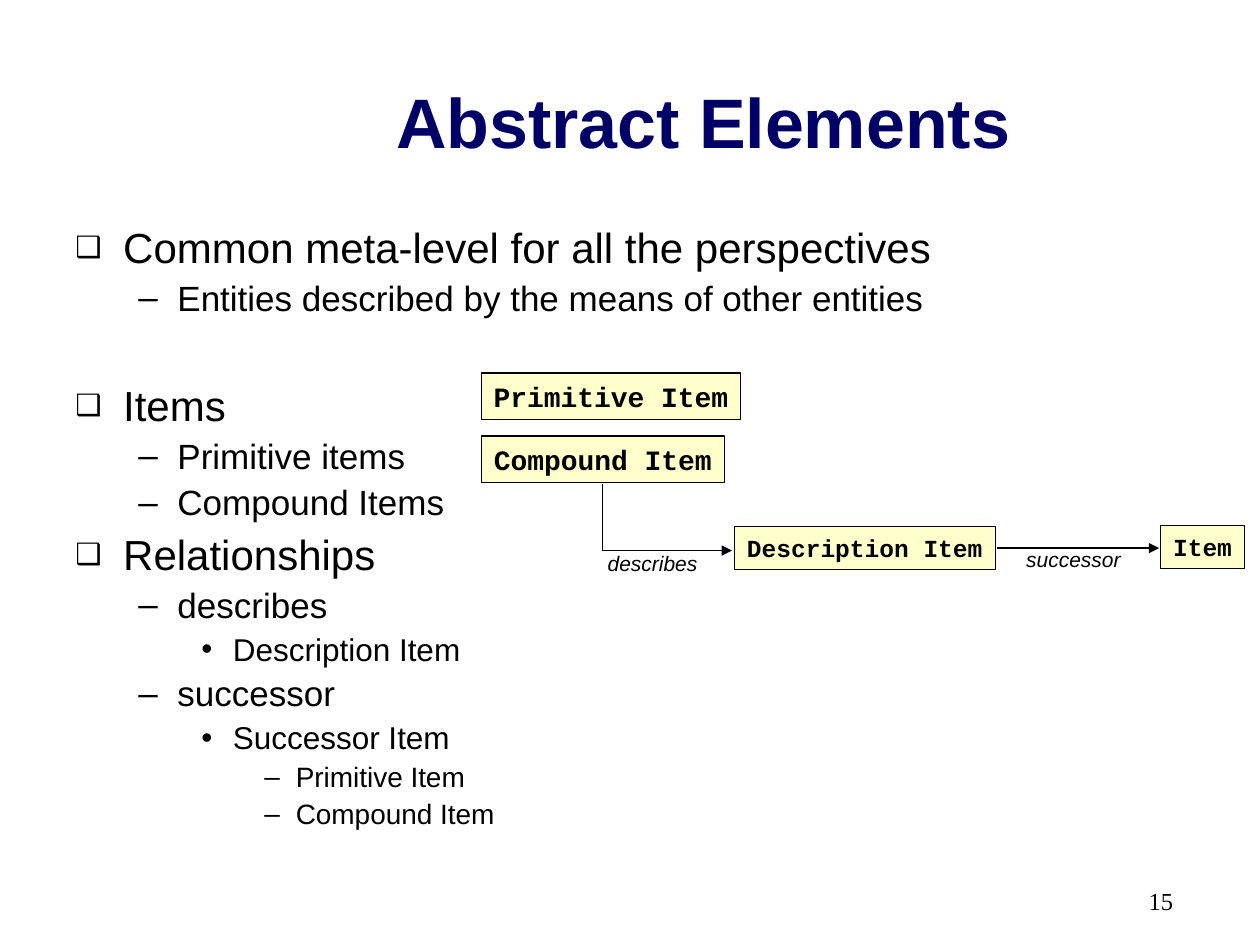
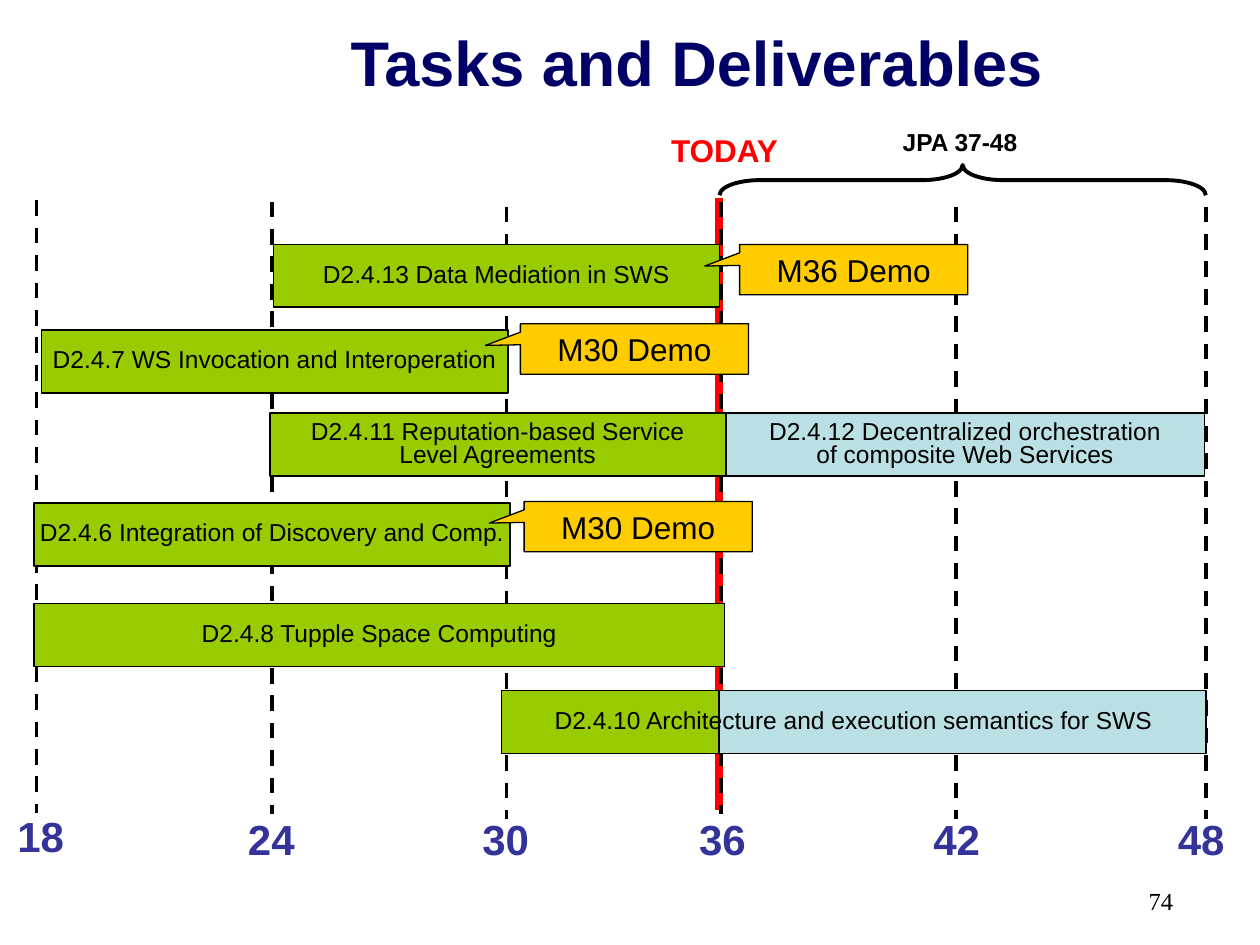
import dataclasses

import lxml.etree
import pptx
import pptx.dml.color
import pptx.enum.dml
import pptx.enum.shapes
import pptx.enum.text
import pptx.oxml.ns
import pptx.presentation
import pptx.slide
import pptx.util

SCALE = 9144
NAVY, INDIGO, BLACK, RED, WHITE = "000066", "333399", "000000", "FF0000", "FFFFFF"
CREAM, GREEN, BLUE, AMBER = "FFFFCC", "99CC00", "BBE0E3", "FFCC00"
SHAPE = pptx.enum.shapes.MSO_SHAPE
ALIGN = pptx.enum.text.PP_ALIGN
ANCHOR = pptx.enum.text.MSO_ANCHOR


@dataclasses.dataclass(frozen=True)
class Style:
    size: int
    color: str = BLACK
    face: str = "Arial"
    bold: bool = False
    slant: bool = False
    align: ALIGN = ALIGN.CENTER
    mid: bool = False
    wrap: bool = False
    space: float = 1.0


@dataclasses.dataclass(frozen=True)
class Box:
    left: int
    top: int
    width: int
    height: int
    text: str
    style: Style
    fill: str = ""
    edge: float = 0
    tip: tuple[float, ...] = ()


@dataclasses.dataclass(frozen=True)
class Line:
    x: int
    y: int
    end_x: int
    end_y: int
    color: str = BLACK
    width: float = 0.75
    dash: bool = False
    arrow: bool = False


@dataclasses.dataclass(frozen=True)
class Level:
    mark: str
    size: int
    margin: int
    hang: int
    before: float
    scale: int = 100


TITLE = Style(40, NAVY, bold=True, mid=True, wrap=True)
PAGE = Style(14, face="Times New Roman", align=ALIGN.RIGHT, wrap=True)
ITEM = Style(16, face="Courier New", bold=True)
SMALL = dataclasses.replace(ITEM, size=14)
LINK = Style(12, slant=True)
MONTH = Style(24, INDIGO, bold=True, align=ALIGN.LEFT)
TASK = Style(14, mid=True, space=0.8)
PLAN = dataclasses.replace(TASK, bold=True)
DEMO = Style(18, wrap=True)
TODAY = Style(18, RED, bold=True, wrap=True)

LEVELS = (
    Level("❑", 24, 38, 38, 6, 70),
    Level("–", 20, 81, 31, 5),
    Level("•", 18, 125, 25, 4.5),
    Level("–", 16, 175, 25, 4),
)
GAP = 38
POINTS = (
    (0, "Common meta-level for all the perspectives"),
    (1, "Entities described by the means of other entities"),
    (0, "Items"),
    (1, "Primitive items"),
    (1, "Compound Items"),
    (0, "Relationships"),
    (1, "describes"),
    (2, "Description Item"),
    (1, "successor"),
    (2, "Successor Item"),
    (3, "Primitive Item"),
    (3, "Compound Item"),
)
NODES = (
    Box(382, 296, 206, 37, "Primitive Item", ITEM, CREAM, 0.75),
    Box(382, 346, 193, 37, "Compound Item", ITEM, CREAM, 0.75),
    Box(583, 418, 207, 34, "Description Item", SMALL, CREAM, 0.75),
    Box(921, 417, 67, 34, "Item", SMALL, CREAM, 0.75),
    Box(463, 432, 110, 30, "describes", LINK),
    Box(797, 429, 110, 30, "successor", LINK),
)
LINKS = (
    Line(478, 384, 478, 437),
    Line(478, 437, 581, 437, arrow=True),
    Line(791, 435, 920, 435, arrow=True),
)


def task(left: int, top: int, width: int, text: str, fill: str = GREEN) -> Box:
    """Describe one bar of the schedule."""
    return Box(left, top, width, 50, text, TASK, fill, 1 if fill else 0)


def demo(left: int, top: int, month: int) -> Box:
    """Describe one demo callout."""
    return Box(left, top, 181, 40, f"M{month} Demo", DEMO, AMBER, 0.75, (-0.653, -0.07))


MONTHS = (
    (18, 4, 638, 29, 159),
    (24, 187, 641, 216, 160),
    (30, 373, 641, 402, 164),
    (36, 545, 641, 572, 160),
    (42, 731, 641, 759, 164),
    (48, 925, 641, 957, 164),
)
TASKS = (
    task(33, 262, 370, "D2.4.7 WS Invocation and Interoperation"),
    task(27, 399, 378, "D2.4.6 Integration of Discovery and Comp."),
    task(27, 479, 548, "D2.4.8 Tupple Space Computing"),
    task(217, 194, 354, "D2.4.13 Data Mediation in SWS"),
    task(214, 328, 362, "D2.4.11 Reputation-based Service\nLevel Agreements"),
    task(576, 328, 380, "D2.4.12 Decentralized orchestration\nof composite Web Services", BLUE),
)
FINAL = (
    task(398, 548, 173, ""),
    task(571, 548, 386, "", BLUE),
    task(398, 548, 559, "D2.4.10 Architecture and execution semantics for SWS", ""),
    Box(701, 107, 122, 16, "JPA 37-48", PLAN),
    demo(416, 398, 30),
    demo(587, 194, 36),
    demo(413, 257, 30),
    Box(516, 99, 118, 40, "TODAY", TODAY, WHITE, 0, (0.388, 0.053)),
)


def px(value: int) -> pptx.util.Emu:
    """Turn px into EMU."""
    return pptx.util.Emu(value * SCALE)


def rgb(code: str) -> pptx.dml.color.RGBColor:
    """Turn a hex string into a colour."""
    return pptx.dml.color.RGBColor.from_string(code)


def add_box(slide: pptx.slide.Slide, box: Box) -> None:
    """Draw a text box, rectangle or callout with its text."""
    area = [px(n) for n in (box.left, box.top, box.width, box.height)]
    if box.fill:
        kind = SHAPE.RECTANGULAR_CALLOUT if box.tip else SHAPE.RECTANGLE
        shape = slide.shapes.add_shape(kind, *area)
        shape.shadow.inherit = False
        shape.fill.solid()
        shape.fill.fore_color.rgb = rgb(box.fill)
        for index, value in enumerate(box.tip):
            shape.adjustments[index] = value
        if box.edge:
            shape.line.color.rgb = rgb(BLACK)
            shape.line.width = pptx.util.Pt(box.edge)
        else:
            shape.line.fill.background()
    else:
        shape = slide.shapes.add_textbox(*area)
    if not box.text:
        return
    style, frame = box.style, shape.text_frame
    frame.text = box.text
    frame.word_wrap = style.wrap
    frame.vertical_anchor = ANCHOR.MIDDLE if style.mid else ANCHOR.TOP
    for para in frame.paragraphs:
        para.alignment = style.align
        para.line_spacing = style.space
        for run in para.runs:
            font = run.font
            font.name, font.size = style.face, pptx.util.Pt(style.size)
            font.bold, font.italic = style.bold, style.slant
            font.color.rgb = rgb(style.color)


def add_line(slide: pptx.slide.Slide, line: Line) -> None:
    """Draw a straight line, dashed or with an arrowhead on request."""
    ends = [px(n) for n in (line.x, line.y, line.end_x, line.end_y)]
    shape = slide.shapes.add_connector(pptx.enum.shapes.MSO_CONNECTOR.STRAIGHT, *ends)
    shape.line.color.rgb = rgb(line.color)
    shape.line.width = pptx.util.Pt(line.width)
    if line.dash:
        shape.line.dash_style = pptx.enum.dml.MSO_LINE.DASH
    props = shape._element.spPr
    if line.arrow:
        stroke = props.find(pptx.oxml.ns.qn("a:ln"))
        lxml.etree.SubElement(stroke, pptx.oxml.ns.qn("a:tailEnd"), type="triangle")
    lxml.etree.SubElement(props, pptx.oxml.ns.qn("a:effectLst"))


def add_list(slide: pptx.slide.Slide) -> None:
    """Write the bulleted outline."""
    frame = slide.shapes.add_textbox(px(50), px(175), px(900), px(495)).text_frame
    frame.text = "\n".join(text for _, text in POINTS)
    frame.word_wrap = True
    for index, (para, (depth, text)) in enumerate(zip(frame.paragraphs, POINTS)):
        level = LEVELS[depth]
        para.level = depth
        props = para._p.get_or_add_pPr()
        props.set("marL", str(px(level.margin)))
        props.set("indent", str(-px(level.hang)))
        lxml.etree.SubElement(props, pptx.oxml.ns.qn("a:buSzPct"), val=str(level.scale * 1000))
        lxml.etree.SubElement(props, pptx.oxml.ns.qn("a:buFont"), typeface="Arial")
        lxml.etree.SubElement(props, pptx.oxml.ns.qn("a:buChar"), char=level.mark)
        para.line_spacing = 0.9
        if index:
            para.space_before = pptx.util.Pt(GAP if text == "Items" else level.before)
        font = para.runs[0].font
        font.name, font.size = "Arial", pptx.util.Pt(level.size)
        font.color.rgb = rgb(BLACK)


def add_brace(slide: pptx.slide.Slide) -> None:
    """Draw the brace over the planned period."""
    brace = slide.shapes.add_shape(SHAPE.LEFT_BRACE, px(752), px(-50), px(24), px(386))
    brace.rotation = 90
    brace.adjustments[0] = 1.33
    brace.shadow.inherit = False
    brace.fill.background()
    brace.line.color.rgb = rgb(BLACK)
    brace.line.width = pptx.util.Pt(2.25)


def add_page(deck: pptx.presentation.Presentation, title: Box, number: int) -> pptx.slide.Slide:
    """Start a slide with its title and page number."""
    slide = deck.slides.add_slide(deck.slide_layouts[6])
    add_box(slide, title)
    add_box(slide, Box(708, 698, 233, 52, str(number), PAGE))
    return slide


def draw_model(deck: pptx.presentation.Presentation) -> None:
    """Build the slide on abstract elements."""
    slide = add_page(deck, Box(158, 33, 800, 125, "Abstract Elements", TITLE), 15)
    add_list(slide)
    for node in NODES:
        add_box(slide, node)
    for link in LINKS:
        add_line(slide, link)


def draw_plan(deck: pptx.presentation.Presentation) -> None:
    """Build the slide on tasks and deliverables."""
    style = dataclasses.replace(TITLE, size=36)
    slide = add_page(deck, Box(153, 13, 800, 71, "Tasks and Deliverables", style), 74)
    add_line(slide, Line(571, 157, 571, 643, RED, 4.5))
    marks = [Line(x, y, x, y + 486, width=2.25, dash=True) for *_, x, y in MONTHS]
    for month, left, top, *_ in MONTHS:
        add_box(slide, Box(left, top, 57, 50, str(month), MONTH))
    for mark in marks[:-1]:
        add_line(slide, mark)
    for bar in TASKS:
        add_box(slide, bar)
    add_line(slide, marks[-1])
    add_brace(slide)
    for box in FINAL:
        add_box(slide, box)


def main() -> None:
    """Build and save the slides."""
    deck = pptx.Presentation()
    deck.slide_width, deck.slide_height = px(1000), px(750)
    draw_model(deck)
    draw_plan(deck)
    deck.save("out.pptx")


if __name__ == "__main__":
    main()
